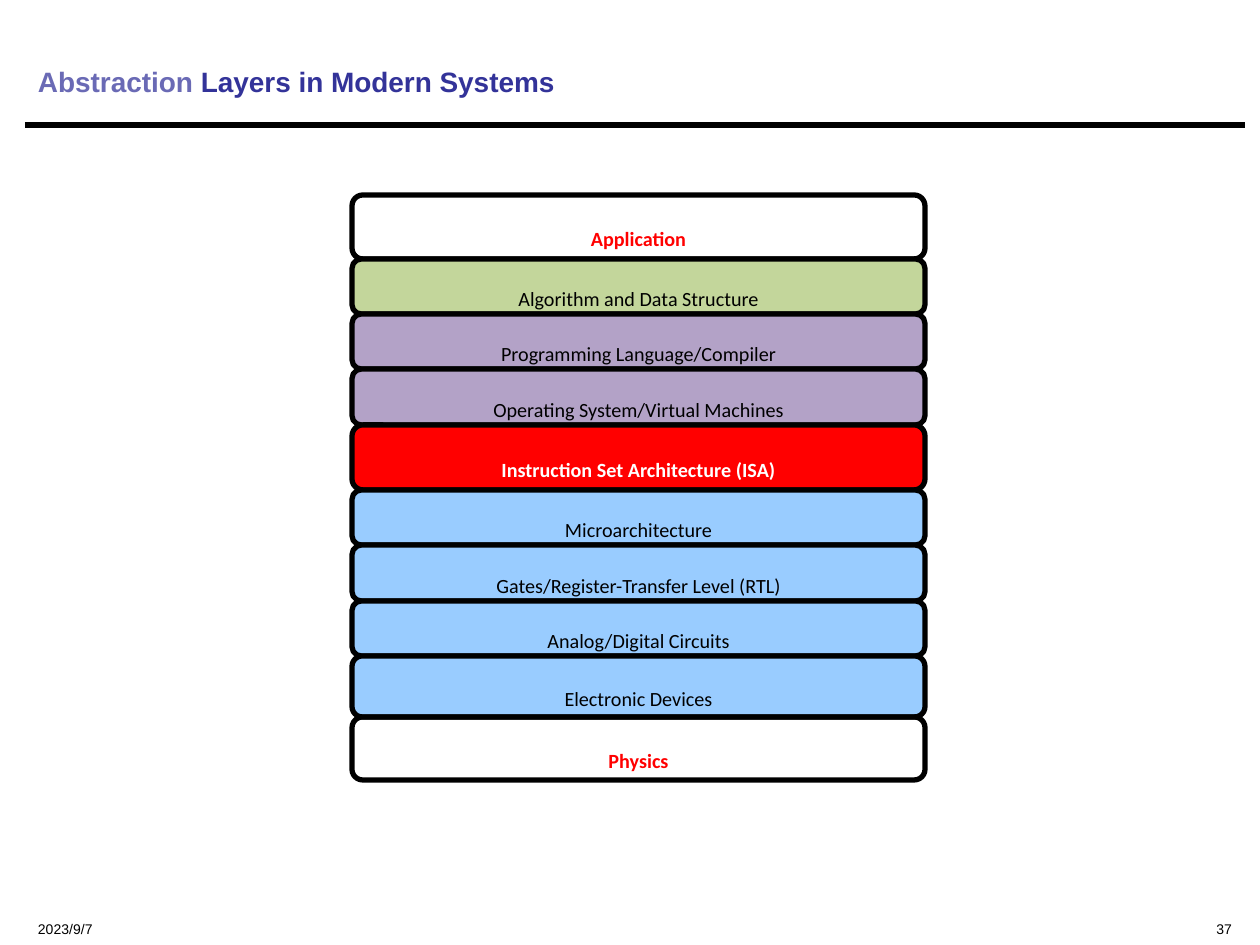
from pptx import Presentation
from pptx.dml.color import RGBColor
from pptx.enum.shapes import MSO_CONNECTOR, MSO_SHAPE
from pptx.enum.text import MSO_ANCHOR, PP_ALIGN
from pptx.oxml.ns import qn
from pptx.util import Pt
from lxml import etree

STRAIGHT = MSO_CONNECTOR.STRAIGHT
ROUNDED = MSO_SHAPE.ROUNDED_RECTANGLE
TOP, MIDDLE = MSO_ANCHOR.TOP, MSO_ANCHOR.MIDDLE
LEFT, CENTER, RIGHT = PP_ALIGN.LEFT, PP_ALIGN.CENTER, PP_ALIGN.RIGHT

BLACK = RGBColor(0x00, 0x00, 0x00)
WHITE = RGBColor(0xFF, 0xFF, 0xFF)
RED = RGBColor(0xFF, 0x00, 0x00)
GREEN = RGBColor(0xC3, 0xD6, 0x9B)
PURPLE = RGBColor(0xB3, 0xA2, 0xC7)
SKY = RGBColor(0x99, 0xCC, 0xFF)
NAVY = RGBColor(0x33, 0x33, 0x99)
LAVENDER = RGBColor(0x6A, 0x6A, 0xB5)

PX_PER_INCH = 126
SIDE_INSET = 13

# label, height in px, fill, text colour, bold; from top to bottom
LAYERS = [
    ("Application", 64, WHITE, RED, True),
    ("Algorithm and Data Structure", 55, GREEN, BLACK, False),
    ("Programming Language/Compiler", 55, PURPLE, BLACK, False),
    ("Operating System/Virtual Machines", 56, PURPLE, BLACK, False),
    ("Instruction Set Architecture (ISA)", 65, RED, WHITE, True),
    ("Microarchitecture", 55, SKY, BLACK, False),
    ("Gates/Register-Transfer Level (RTL)", 56, SKY, BLACK, False),
    ("Analog/Digital Circuits", 55, SKY, BLACK, False),
    ("Electronic Devices", 61, SKY, BLACK, False),
    ("Physics", 63, None, RED, True),
]


def px(length):
    return round(length * 914400 / PX_PER_INCH)


def set_frame(shape, anchor, align, top_inset, wrap=True):
    """Lay out the text frame and return its paragraph."""
    frame = shape.text_frame
    frame.word_wrap = wrap
    frame.vertical_anchor = anchor
    frame.margin_left = frame.margin_right = px(SIDE_INSET)
    frame.margin_top, frame.margin_bottom = px(top_inset), 0
    paragraph = frame.paragraphs[0]
    paragraph.alignment = align
    return paragraph


def add_run(paragraph, text, font_name, size, color, bold=False):
    run = paragraph.add_run()
    run.text = text
    run.font.name = font_name
    run.font.size = Pt(size)
    run.font.bold = bold
    run.font.color.rgb = color


def add_header(slide, left, top, width, height):
    # Title in two colours
    title = slide.shapes.add_textbox(px(left), px(top), px(width), px(height))
    paragraph = set_frame(title, MIDDLE, LEFT, 36)
    add_run(paragraph, "Abstraction", "Arial", 16, LAVENDER, True)
    add_run(paragraph, " Layers in Modern Systems", "Arial", 16, NAVY, True)

    # Rule below the title
    rule_y = px(top + height + 9)
    rule = slide.shapes.add_connector(
        STRAIGHT, px(left), rule_y, px(left + width), rule_y)
    rule.line.color.rgb = BLACK
    rule.line.width = Pt(3.75)
    etree.SubElement(rule._element.spPr, qn("a:effectLst"))


def add_layer_stack(slide, left, top, width):
    for label, height, fill, color, bold in LAYERS:
        layer = slide.shapes.add_shape(
            ROUNDED, px(left), px(top), px(width), px(height))
        layer.adjustments[0] = 0.17
        layer.shadow.inherit = False
        if fill is None:
            layer.fill.background()
        else:
            layer.fill.solid()
            layer.fill.fore_color.rgb = fill
        layer.line.color.rgb = BLACK
        layer.line.width = Pt(3)
        paragraph = set_frame(layer, MIDDLE, CENTER, 24, wrap=False)
        add_run(paragraph, label, "Calibri", 11.5, color, bold)
        top += height


def add_footer(slide, left, top, width, height):
    date_width, number_width = 315, 378
    for text, x, part_width, align in (
        ("2023/9/7", left, date_width, LEFT),
        ("37", left + width - number_width, number_width, RIGHT),
    ):
        part = slide.shapes.add_textbox(
            px(x), px(top), px(part_width), px(height))
        paragraph = set_frame(part, TOP, align, 23)
        add_run(paragraph, text, "Arial", 8, BLACK)


def main():
    presentation = Presentation()
    presentation.slide_width, presentation.slide_height = px(1260), px(945)
    slide = presentation.slides.add_slide(presentation.slide_layouts[6])
    add_header(slide, 25, 10, 1220, 106)
    add_layer_stack(slide, 352, 195, 573)
    add_footer(slide, 25, 901, 1220, 34)
    presentation.save("out.pptx")


if __name__ == "__main__":
    main()
